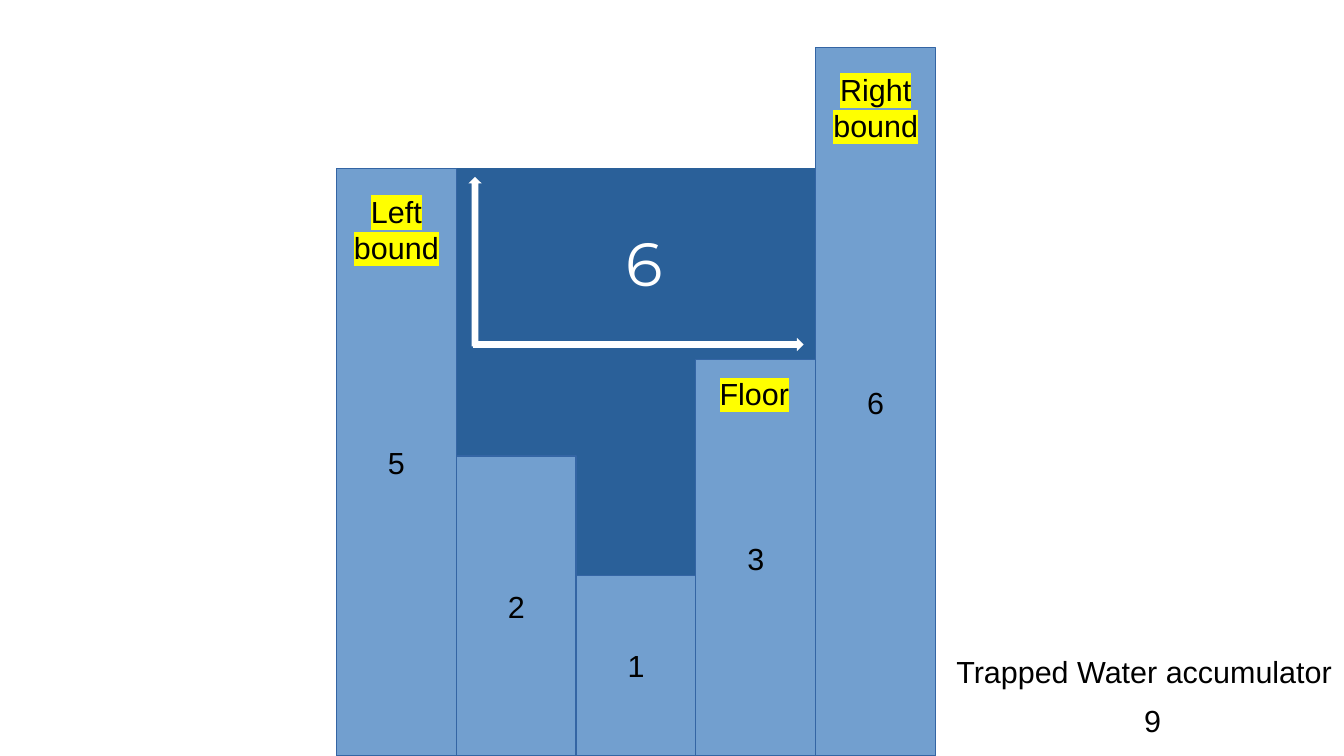
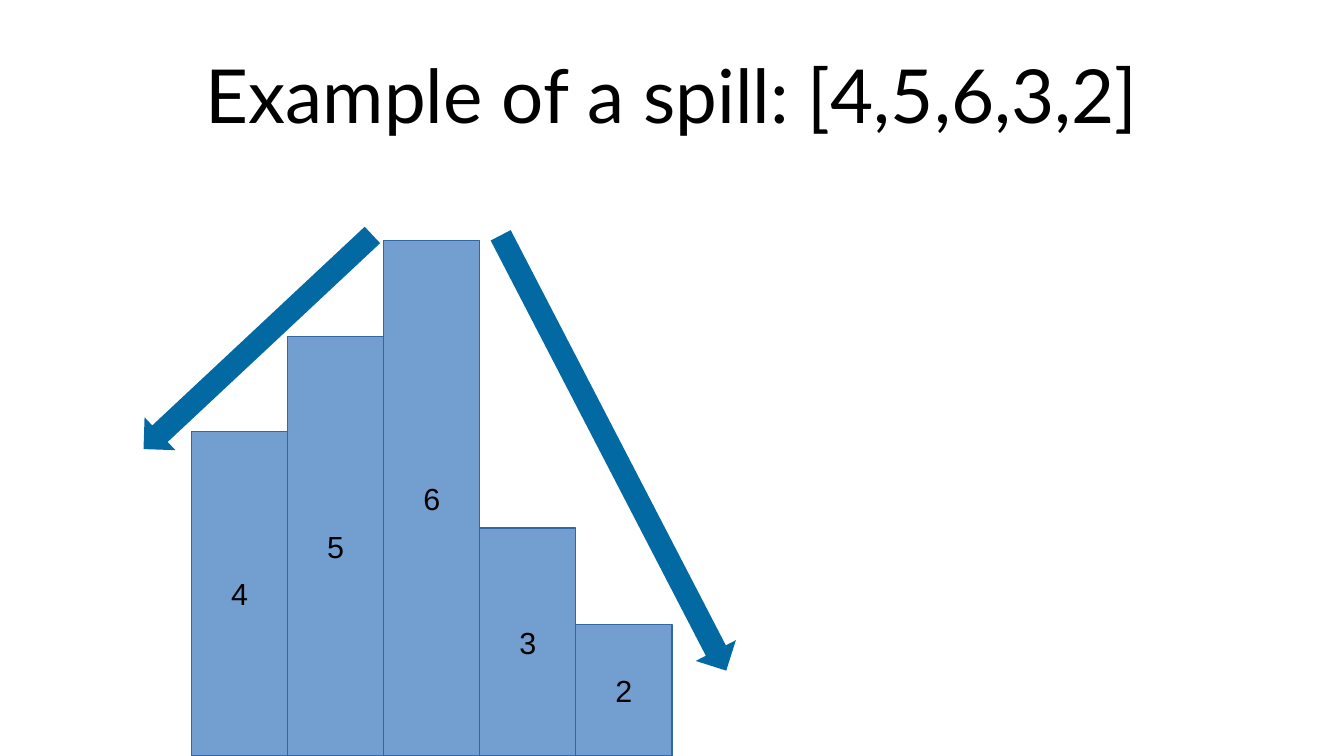
"""Builds two slides on trapped water between bars and on spilling over them."""
from collections import namedtuple
from lxml.etree import SubElement
from pptx import Presentation
from pptx.dml.color import RGBColor
from pptx.enum.shapes import MSO_SHAPE
from pptx.enum.text import MSO_ANCHOR, MSO_AUTO_SIZE, PP_ALIGN
from pptx.oxml.ns import qn
from pptx.util import Inches, Pt

Theme = namedtuple("Theme", "bar edge water spill ink white mark font head body big huge")
theme = Theme(
    bar=RGBColor.from_string("729FCF"),
    edge=RGBColor.from_string("3465A4"),
    water=RGBColor.from_string("2A6099"),
    spill=RGBColor.from_string("0369A3"),
    ink=RGBColor.from_string("000000"),
    white=RGBColor.from_string("FFFFFF"),
    mark="FFFF00",
    font="Arial",
    head="Lato",
    body=Pt(18),
    big=Pt(36),
    huge=Pt(44),
)


def add_block(slide, kind, box, fill, edge=None):
    shape = slide.shapes.add_shape(kind, *map(Inches, box))
    shape.shadow.inherit = False
    shape.fill.solid()
    shape.fill.fore_color.rgb = fill
    if edge is None:
        shape.line.fill.background()
    else:
        shape.line.color.rgb = edge
        shape.line.width = Pt(0)
    return shape


def set_text(frame, text, size=theme.body, font=theme.font, color=theme.ink,
             align=PP_ALIGN.CENTER, mark=None):
    frame.word_wrap = True
    frame.text = text
    for para in frame.paragraphs:
        para.alignment = align
        para.font.size = size
        para.font.name = font
        para.font.color.rgb = color
        if mark:
            for run in para.runs:
                light = SubElement(run._r.get_or_add_rPr(), qn("a:highlight"))
                SubElement(light, qn("a:srgbClr"), val=mark)


deck = Presentation()
deck.slide_width = Inches(11.02)
deck.slide_height = Inches(6.2)
base = 6.2

trap = deck.slides.add_slide(deck.slide_layouts[6])
spill = deck.slides.add_slide(deck.slide_layouts[5])

title = spill.shapes.title
title.left, title.top, title.width, title.height = map(Inches, (0.55, 0.25, 9.92, 1.03))
frame = title.text_frame
set_text(frame, "Example of a spill: [4,5,6,3,2]", theme.huge, theme.head)
frame.auto_size = MSO_AUTO_SIZE.NONE
frame.vertical_anchor = MSO_ANCHOR.MIDDLE
frame.margin_left = frame.margin_right = frame.margin_top = frame.margin_bottom = 0

add_block(trap, MSO_SHAPE.RECTANGLE, (3.74, 1.38, 2.95, 3.4), theme.water, theme.water)
add_block(trap, MSO_SHAPE.RIGHT_ARROW, (3.88, 2.77, 2.71, 0.11), theme.white)
add_block(trap, MSO_SHAPE.UP_ARROW, (3.84, 1.45, 0.11, 1.39), theme.white)

rows = [
    (trap, 2.76, 7.67, [(5, 1.38), (2, 3.74), (1, 4.72), (3, 2.95), (6, 0.39)]),
    (spill, 1.57, 5.51, [(4, 3.54), (5, 2.76), (6, 1.97), (3, 4.33), (2, 5.12)]),
]
for slide, start, end, bars in rows:
    width = (end - start) / len(bars)
    for i, (value, top) in enumerate(bars):
        box = (start + i * width, top, width, base - top)
        bar = add_block(slide, MSO_SHAPE.RECTANGLE, box, theme.bar, theme.edge)
        bar.text_frame.vertical_anchor = MSO_ANCHOR.MIDDLE
        set_text(bar.text_frame, str(value))

labels = [
    ((4.9, 1.8, 0.63, 0.71), "6",
     dict(size=theme.big, font="Montserrat", color=theme.white, align=PP_ALIGN.RIGHT)),
    ((5.78, 3.03, 0.81, 0.4), "Floor", dict(mark=theme.mark)),
    ((6.69, 0.53, 0.98, 0.71), "Right\nbound", dict(mark=theme.mark)),
    ((2.76, 1.53, 0.98, 0.71), "Left\nbound", dict(mark=theme.mark)),
    ((7.36, 5.31, 3.66, 0.4), "Trapped Water accumulator", dict(align=PP_ALIGN.RIGHT)),
    ((9.11, 5.71, 0.68, 0.4), "9", {}),
]
for box, text, style in labels:
    label = trap.shapes.add_textbox(*map(Inches, box))
    set_text(label.text_frame, text, **style)

for box, turn in [((3.02, 3.53, 4.02, 0.37), 62.6), ((0.83, 2.62, 2.57, 0.37), 136.9)]:
    arrow = add_block(spill, MSO_SHAPE.RIGHT_ARROW, box, theme.spill)
    arrow.rotation = turn

deck.save("out.pptx")
